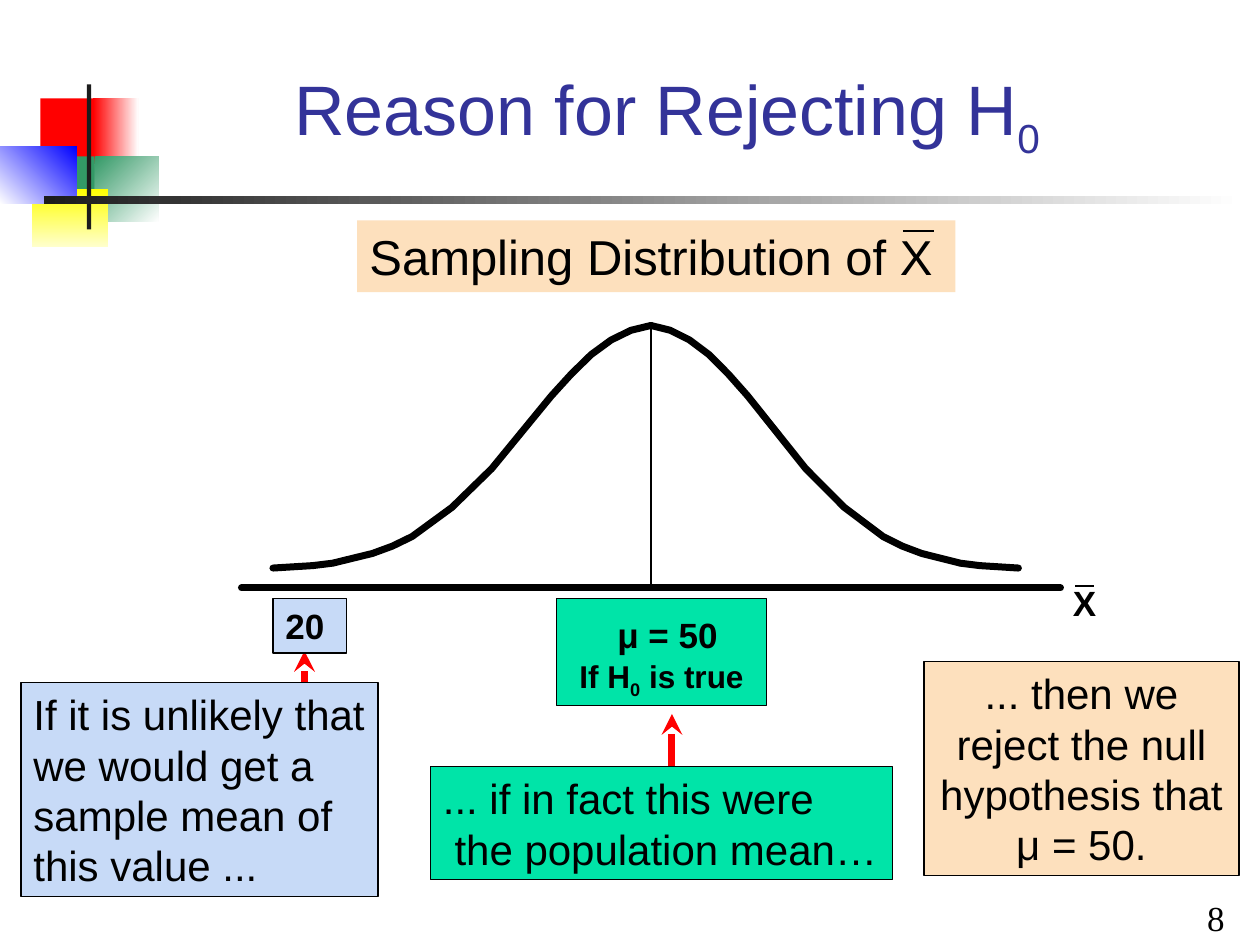
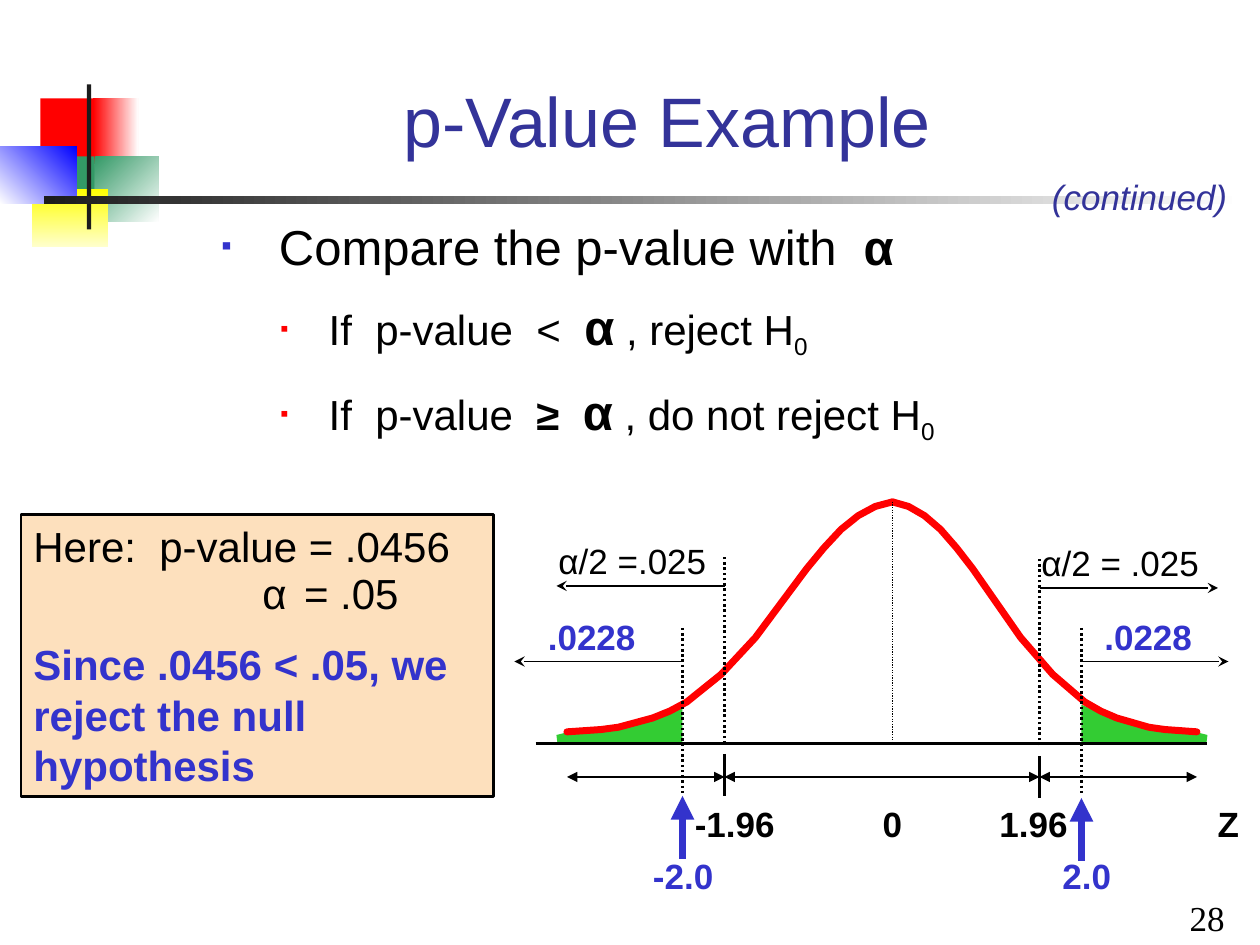
import dataclasses
import typing

import lxml.etree
import pptx
import pptx.dml.color
import pptx.enum.dml
import pptx.enum.shapes
import pptx.enum.text
import pptx.oxml.ns
import pptx.util

COLUMNS, ROWS = 120, 90
WIDTH, HEIGHT = pptx.util.Inches(10), pptx.util.Inches(7.5)
BELL_STEPS = (0, 2, 3, 4, 5, 6, 7, 9, 11, 13, 14, 15, 16, 17, 18, 19)
BELL_HEIGHTS = (0, .01, .02, .04, .06, .09, .13, .25, .41, .61, .71, .8, .88, .94, .98, 1)
ALIGN = pptx.enum.text.PP_ALIGN
ANCHOR = pptx.enum.text.MSO_ANCHOR


@dataclasses.dataclass(frozen=True)
class Theme:
    font: str = "Arial"
    number_font: str = "Times New Roman"
    black: str = "000000"
    white: str = "FFFFFF"
    dark: str = "1C1C1C"
    title: str = "333399"
    accent: str = "3333CC"
    red: str = "FF0000"
    sea: str = "339966"
    yellow: str = "FFFF00"
    cream: str = "FFFFCC"
    blue: str = "0000FF"
    peach: str = "FDE0BD"
    mint: str = "00E4A8"
    sky: str = "C7DAF7"
    tail: str = "33CC33"
    title_size: int = 40
    heading_size: int = 28
    body_size: int = 24
    label_size: int = 20
    small_size: int = 18
    thin: float = 0.75
    arrow: float = 1
    medium: float = 1.5
    heavy: float = 4


THEME = Theme()


@dataclasses.dataclass
class Run:
    text: str
    size: typing.Optional[float] = None
    bold: typing.Optional[bool] = None
    subscript: bool = False


@dataclasses.dataclass
class Line:
    content: typing.Union[str, list]
    size: float = THEME.label_size
    color: str = THEME.black
    bold: bool = False
    italic: bool = False
    align: typing.Any = None
    font: str = THEME.font
    before: float = 0
    spacing: typing.Optional[float] = None
    margin: float = 0
    indent: float = 0
    bullet: typing.Optional[tuple] = None


def across(columns):
    return round(columns * WIDTH / COLUMNS)


def down(rows):
    return round(rows * HEIGHT / ROWS)


def place(area):
    left, top, width, height = area
    return across(left), down(top), across(width), down(height)


def rgb(value):
    return pptx.dml.color.RGBColor.from_string(value)


def add_element(parent, tag, **attributes):
    return lxml.etree.SubElement(parent, pptx.oxml.ns.qn(tag), attributes)


def paint(shape, color):
    shape.fill.solid()
    shape.fill.fore_color.rgb = rgb(color)


def stroke(shape, color, width, rounded=False):
    shape.line.color.rgb = rgb(color)
    shape.line.width = pptx.util.Pt(width)
    outline = shape._element.spPr.find(pptx.oxml.ns.qn("a:ln"))
    if rounded:
        outline.set("cap", "rnd")
    return outline


def format_paragraph(paragraph, line):
    font = paragraph.font
    font.name, font.size = line.font, pptx.util.Pt(line.size)
    font.bold, font.italic = line.bold, line.italic
    font.color.rgb = rgb(line.color)
    paragraph.alignment = line.align
    paragraph.space_before = pptx.util.Pt(line.before)
    if line.spacing:
        paragraph.line_spacing = line.spacing
    properties = paragraph._p.get_or_add_pPr()
    properties.set("marL", str(across(line.margin)))
    properties.set("indent", str(across(line.indent)))
    if line.bullet:
        color, percent = line.bullet
        defaults = properties.find(pptx.oxml.ns.qn("a:defRPr"))
        bullet_color = add_element(properties, "a:buClr")
        add_element(bullet_color, "a:srgbClr", val=color)
        add_element(properties, "a:buSzPct", val=str(percent * 1000))
        add_element(properties, "a:buFont", typeface=THEME.font)
        add_element(properties, "a:buChar", char="▪")
        properties.append(defaults)


def write_line(paragraph, line):
    if isinstance(line.content, str):
        paragraph.text = line.content
    else:
        for part in line.content:
            run = paragraph.add_run()
            run.text = part.text
            if part.size:
                run.font.size = pptx.util.Pt(part.size)
            if part.bold is not None:
                run.font.bold = part.bold
            if part.subscript:
                run._r.get_or_add_rPr().set("baseline", "-25000")
    format_paragraph(paragraph, line)


def add_text(slide, area, *lines, fill=None, outline=None, anchor=ANCHOR.TOP, wrap=True):
    box = slide.shapes.add_textbox(*place(area))
    if fill:
        paint(box, fill)
    if outline:
        stroke(box, THEME.black, outline)
    frame = box.text_frame
    frame.word_wrap, frame.vertical_anchor = wrap, anchor
    for index, line in enumerate(lines):
        write_line(frame.add_paragraph() if index else frame.paragraphs[0], line)


def add_line(slide, start, end, width, color=THEME.black, head=None, tail=None, dotted=False, rounded=False):
    connector = slide.shapes.add_connector(
        pptx.enum.shapes.MSO_CONNECTOR.STRAIGHT,
        across(start[0]), down(start[1]), across(end[0]), down(end[1]))
    outline = stroke(connector, color, width, rounded)
    if dotted:
        connector.line.dash_style = pptx.enum.dml.MSO_LINE.ROUND_DOT
    for tag, kind in (("a:headEnd", head), ("a:tailEnd", tail)):
        if kind:
            add_element(outline, tag, type=kind)
    add_element(connector._element.spPr, "a:effectLst")


def add_outline(slide, points, closed):
    corners = [(across(column), down(row)) for column, row in points]
    builder = slide.shapes.build_freeform(*corners[0])
    builder.add_line_segments(corners[1:], close=closed)
    shape = builder.convert_to_shape()
    shape.shadow.inherit = False
    return shape


def add_bell(slide, tails, peak, base, top, color):
    for tail in tails:
        points = [(tail + (peak - tail) * step / BELL_STEPS[-1], base - (base - top) * height)
                  for step, height in zip(BELL_STEPS, BELL_HEIGHTS)]
        curve = add_outline(slide, points, closed=False)
        curve.fill.background()
        stroke(curve, color, THEME.heavy, rounded=True)


def add_decoration(slide):
    group = slide.shapes.add_group_shape()
    blocks = (
        ((3.84, 9.36, 5.76, 6.24), THEME.red, None, 0),
        ((8.88, 9.36, 4.32, 6.24), THEME.red, THEME.white, 0),
        ((9, 14.88, 6.12, 6.24), THEME.sea, THEME.white, 315),
        ((5.16, 14.88, 3.84, 6.24), THEME.sea, None, 0),
        ((3, 18, 7.32, 5.52), THEME.yellow, THEME.cream, 270),
        ((0, 13.92, 7.32, 5.52), THEME.blue, THEME.white, 225),
        ((8.28, 8.04, 0.4, 13.8), THEME.dark, None, 0),
        ((4.2, 18.72, 114.12, 0.72), THEME.dark, THEME.white, 0),
    )
    for area, color, fade, angle in blocks:
        block = group.shapes.add_shape(pptx.enum.shapes.MSO_SHAPE.RECTANGLE, *place(area))
        block.shadow.inherit = False
        block.line.fill.background()
        if fade:
            block.fill.gradient()
            block.fill.gradient_angle = angle
            for stop, shade in zip(block.fill.gradient_stops, (color, fade)):
                stop.color.rgb = rgb(shade)
        else:
            paint(block, color)


def start_slide(presentation, title, number):
    slide = presentation.slides.add_slide(presentation.slide_layouts[6])
    add_decoration(slide)
    add_text(slide, (15.12, 3, 96.84, 12.96),
             Line(title, THEME.title_size, THEME.title, align=ALIGN.CENTER), anchor=ANCHOR.BOTTOM)
    add_text(slide, (89.8, 85.8, 28, 4.2),
             Line(number, align=ALIGN.RIGHT, font=THEME.number_font), anchor=ANCHOR.BOTTOM)
    return slide


def build_rejection_slide(presentation):
    slide = start_slide(
        presentation, [Run("Reason for Rejecting H"), Run("0", subscript=True)], "8")
    for column, start, end in ((29, 66, 62), (64, 75, 68)):
        add_line(slide, (column, start), (column, end), THEME.heavy, THEME.red, tail="stealth")
    add_text(slide, (34, 21, 57, 6.84),
             Line("Sampling Distribution of X", THEME.heading_size), fill=THEME.peach)
    add_text(slide, (53, 57, 20, 10.2),
             Line([Run(" ", 25), Run("μ = 50")], bold=True, align=ALIGN.CENTER),
             Line([Run("If H"), Run("0", subscript=True), Run(" is true")],
                  THEME.small_size, bold=True, align=ALIGN.CENTER),
             fill=THEME.mint, outline=THEME.thin)
    notes = (
        ((2, 65, 34, 20.4), THEME.sky, None,
         "If it is unlikely that we would get a sample mean of this value ..."),
        ((88, 63, 30, 20.4), THEME.peach, ALIGN.CENTER,
         "... then we reject the null hypothesis that μ = 50."),
        ((41, 73, 44, 10.8), THEME.mint, None,
         "... if in fact this were\n the population mean…"),
    )
    for area, fill, align, words in notes:
        add_text(slide, area, Line(words, THEME.body_size, align=align), fill=fill, outline=THEME.thin)
    add_bell(slide, (26, 97), 62, 54.1, 31, THEME.black)
    add_line(slide, (23, 56), (101, 56), THEME.heavy, rounded=True)
    add_text(slide, (26, 57, 7, 5.2), Line("20", bold=True), fill=THEME.sky, outline=THEME.thin)
    add_line(slide, (62, 31), (62, 56), THEME.thin)
    add_text(slide, (101, 54.8, 7, 5.2), Line("X", bold=True))
    for left, right, row in ((86, 89, 22), (102.4, 104.2, 55.8)):
        add_line(slide, (left, row), (right, row), THEME.medium)


def add_comparison(slide):
    def rule(sign, ending):
        return Line([Run(" If  p-value  "), *sign, Run("α", THEME.heading_size, True),
                     Run(ending), Run("0", subscript=True)],
                    THEME.body_size, before=12, margin=9.12, indent=-3.48, bullet=(THEME.red, 55))

    add_text(slide, (19.9, 20, 79, 27),
             Line([Run(" Compare the p-value with  "), Run("α", bold=True)], THEME.heading_size,
                  margin=4.2, indent=-4.2, bullet=(THEME.accent, 60)),
             rule([Run("<  ")], " , reject H"),
             rule([Run("≥  ", bold=True)], " , do not reject H"))
    add_text(slide, (2, 49, 45, 26.88),
             Line("Here: \tp-value = .0456", THEME.body_size),
             Line([Run("α"), Run(" ", 12), Run(" = .05")], THEME.body_size,
                  before=15, spacing=0.3, margin=21.8),
             Line("Since .0456 < .05, we reject the null hypothesis", THEME.body_size,
                  THEME.accent, bold=True, before=15),
             fill=THEME.peach, outline=THEME.medium)


def add_tail_areas(slide):
    left_tail = [(53, 70), (54.2, 69.7), (58, 69.6), (61.9, 68.5), (65, 67.1), (65, 70.8), (53.1, 70.8)]
    right_tail = [(168 - column, row) for column, row in left_tail]
    for points in (left_tail, right_tail):
        area = add_outline(slide, points, closed=True)
        paint(area, THEME.tail)
        area.line.fill.background()


def build_p_value_slide(presentation):
    slide = start_slide(presentation, "p-Value Example", "28")
    add_comparison(slide)
    add_text(slide, (99, 16.08, 19.08, 5.28),
             Line("(continued)", color=THEME.title, italic=True), wrap=False)
    add_tail_areas(slide)
    add_bell(slide, (54, 114), 85, 69.7, 47.8, THEME.red)
    add_line(slide, (51, 70.8), (115, 70.8), 2)
    add_line(slide, (85, 47.8), (85, 70.8), THEME.thin, dotted=True)

    sides = ((69, 53, 65, 49, 0), (99, 116, 103, 117, 0.2))
    for critical, critical_end, observed, observed_end, shift in sides:
        add_line(slide, (critical, 70.8 + shift), (critical, 52.8 + shift), THEME.medium, dotted=True)
        add_line(slide, (observed, 59.8), (observed, 75.8), THEME.medium, dotted=True)
        for start, end, row in ((critical, critical_end, 55.8 + shift), (observed, observed_end, 63)):
            add_line(slide, (start, row), (end, row), THEME.arrow, tail="stealth")
        add_line(slide, (critical, 71.8 + shift), (critical, 75.8 + shift), 2.25)
        add_line(slide, (observed, 81.8 + shift), (observed, 75.8 + shift), 4.5,
                 THEME.accent, tail="triangle")
    for start, end in ((54, 69), (69, 99), (99, 114)):
        add_line(slide, (start, 74), (end, 74), THEME.medium, head="triangle", tail="triangle")

    for left, top, width, words in ((52, 50.8, 22, "α/2 =.025"), (98, 51, 20, "α/2 = .025")):
        add_text(slide, (left, top, width, 5.2), Line(words))
    for left, width, words, align in ((65, 13, "-1.96", None), (82, 6, "0", ALIGN.CENTER),
                                      (94, 13, "1.96", None), (114, 6, "Z", ALIGN.CENTER)):
        add_text(slide, (left, 75.8, width, 5.2), Line(words, bold=True, align=align))
    for left, top, width, words in ((51, 58, 12, ".0228"), (104, 58, 12, ".0228"),
                                    (61, 80.8, 9, "-2.0"), (100, 80.8, 9, "2.0")):
        add_text(slide, (left, top, width, 5.2), Line(words, color=THEME.accent, bold=True))


def main():
    presentation = pptx.Presentation()
    presentation.slide_width, presentation.slide_height = WIDTH, HEIGHT
    build_rejection_slide(presentation)
    build_p_value_slide(presentation)
    presentation.save("out.pptx")


if __name__ == "__main__":
    main()
